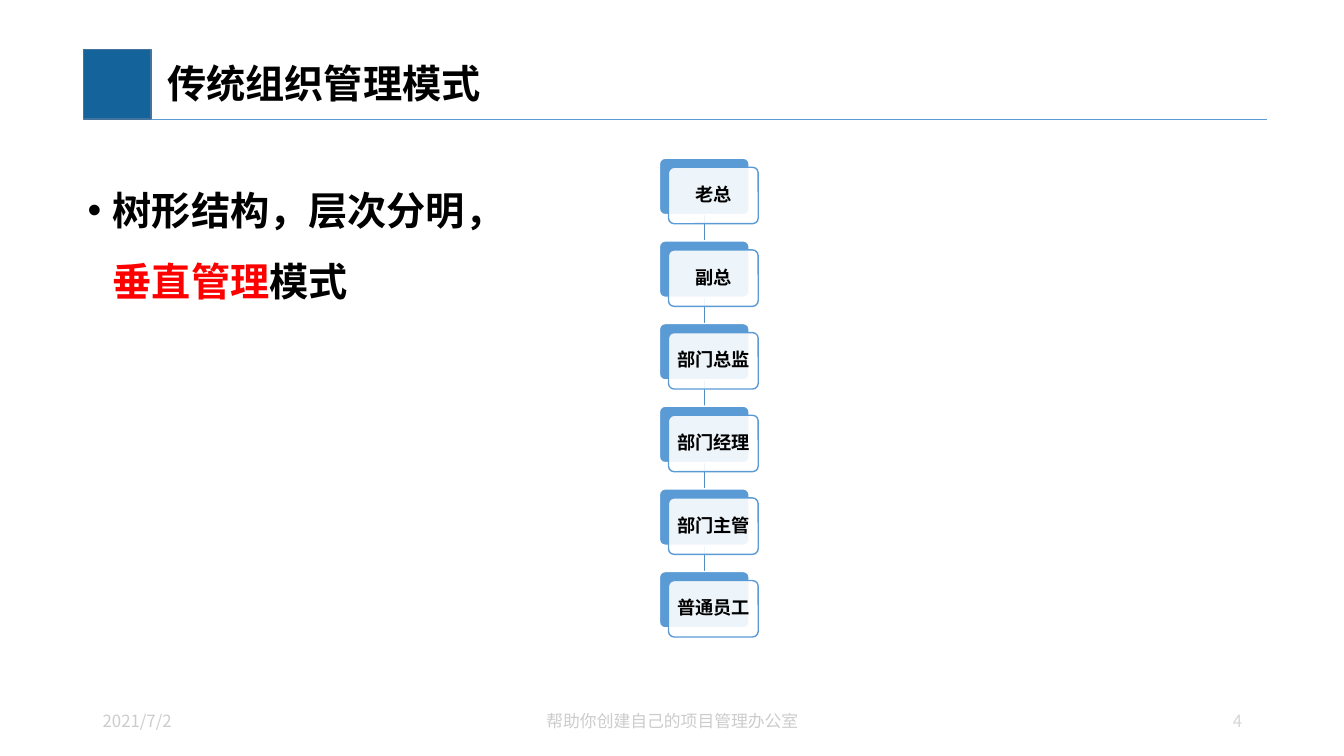
from dataclasses import dataclass

from lxml.etree import SubElement
from pptx import Presentation
from pptx.dml.color import RGBColor
from pptx.enum.shapes import MSO_CONNECTOR, MSO_SHAPE
from pptx.enum.text import MSO_ANCHOR, PP_ALIGN
from pptx.oxml.ns import qn
from pptx.util import Inches, Pt


@dataclass(frozen=True)
class Theme:
    """Colours, font and type sizes of the slide."""
    font: str = "Noto Sans CJK SC"
    heading_size: int = 28
    level_size: int = 13
    footer_size: int = 12
    black: str = "000000"
    white: str = "FFFFFF"
    red: str = "FF0000"
    marker: str = "15639B"
    marker_line: str = "43739E"
    blue: str = "5B9BD5"
    link: str = "538DC1"
    footer: str = "CCCCCC"
    page_number: str = "D6D6D6"


theme = Theme()


def write(shape, parts, size, bold=True, align=PP_ALIGN.LEFT,
          anchor=MSO_ANCHOR.MIDDLE, spacing=1.0):
    """Fill a shape with one paragraph of (text, colour) parts."""
    frame = shape.text_frame
    frame.word_wrap = True
    frame.vertical_anchor = anchor
    paragraph = frame.paragraphs[0]
    paragraph.alignment = align
    paragraph.line_spacing = spacing
    for text, color in parts:
        run = paragraph.add_run()
        run.text = text
        run.font.name = theme.font
        run.font.size = Pt(size)
        run.font.bold = bold
        run.font.color.rgb = RGBColor.from_string(color)
        SubElement(run.font._element, qn("a:ea"), typeface=theme.font)
    return paragraph


def style(shape, line, fill=None, width=1):
    """Set line and fill and remove the shadow; connectors have no fill."""
    shape.line.color.rgb = RGBColor.from_string(line)
    shape.line.width = Pt(width)
    if fill:
        shape.shadow.inherit = False
        shape.fill.solid()
        shape.fill.fore_color.rgb = RGBColor.from_string(fill)
    else:
        SubElement(shape._element.spPr, qn("a:effectLst"))


presentation = Presentation()
presentation.slide_width = Inches(13.33)
presentation.slide_height = Inches(7.5)
slide = presentation.slides.add_slide(presentation.slide_layouts[6])
shapes = slide.shapes

# Title bar
marker = shapes.add_shape(MSO_SHAPE.RECTANGLE, Inches(0.83), Inches(0.49),
                          Inches(0.67), Inches(0.69))
style(marker, theme.marker_line, theme.marker)
rule = shapes.add_connector(MSO_CONNECTOR.STRAIGHT, Inches(1.5), Inches(1.18),
                            Inches(12.57), Inches(1.18))
style(rule, theme.blue, width=0.5)
title = shapes.add_textbox(Inches(1.5), Inches(0.5), Inches(11.07), Inches(0.7))
title.text_frame.margin_left = Inches(0.16)
write(title, [("传统组织管理模式", theme.black)], theme.heading_size, spacing=0.9)

# Chain of command: a blue card behind a translucent white one per level
levels = ["老总", "副总", "部门总监", "部门经理", "部门主管", "普通员工"]
chain_left, chain_top, step = 6.54, 1.57, 0.82
card_width, card_height, offset = 0.89, 0.56, 0.09
link_x = Inches(chain_left + card_width / 2)

for index in range(len(levels) - 1):
    top = chain_top + index * step
    link = shapes.add_connector(MSO_CONNECTOR.STRAIGHT,
                                link_x, Inches(top + card_height),
                                link_x, Inches(top + step))
    style(link, theme.link)

for index, level in enumerate(levels):
    top = chain_top + index * step
    for shift, line, fill in [(0, theme.white, theme.blue),
                              (offset, theme.blue, theme.white)]:
        card = shapes.add_shape(MSO_SHAPE.ROUNDED_RECTANGLE,
                                Inches(chain_left + shift), Inches(top + shift),
                                Inches(card_width), Inches(card_height))
        card.adjustments[0] = 0.1
        style(card, line, fill)
    front_color = card.fill._xPr.find(qn("a:solidFill"))[0]
    SubElement(front_color, qn("a:alpha"), val="90000")
    card.text_frame.margin_left = card.text_frame.margin_right = Inches(0.05)
    write(card, [(level, theme.black)], theme.level_size,
          align=PP_ALIGN.CENTER, spacing=0.9)

# Bullet point
body = shapes.add_textbox(Inches(0.77), Inches(1.57), Inches(4.24), Inches(3.84))
bullet = write(body, [("树形结构，层次分明，", theme.black),
                      ("垂直管理", theme.red), ("模式", theme.black)],
               theme.heading_size, anchor=MSO_ANCHOR.TOP, spacing=1.5)
bullet.space_before = Pt(10)
properties = bullet._p.get_or_add_pPr()
properties.set("marL", str(Inches(0.25)))
properties.set("indent", str(-Inches(0.25)))
SubElement(properties, qn("a:buFont"), typeface="Arial")
SubElement(properties, qn("a:buChar"), char="•")

# Footer
for left, width, text, color, align in [
    (0.92, 3, "2021/7/2", theme.footer, PP_ALIGN.LEFT),
    (4.42, 4.5, "帮助你创建自己的项目管理办公室", theme.footer, PP_ALIGN.CENTER),
    (9.66, 2.76, "4", theme.page_number, PP_ALIGN.RIGHT),
]:
    footer = shapes.add_textbox(Inches(left), Inches(6.95), Inches(width), Inches(0.4))
    write(footer, [(text, color)], theme.footer_size, bold=False, align=align)

presentation.save("out.pptx")
